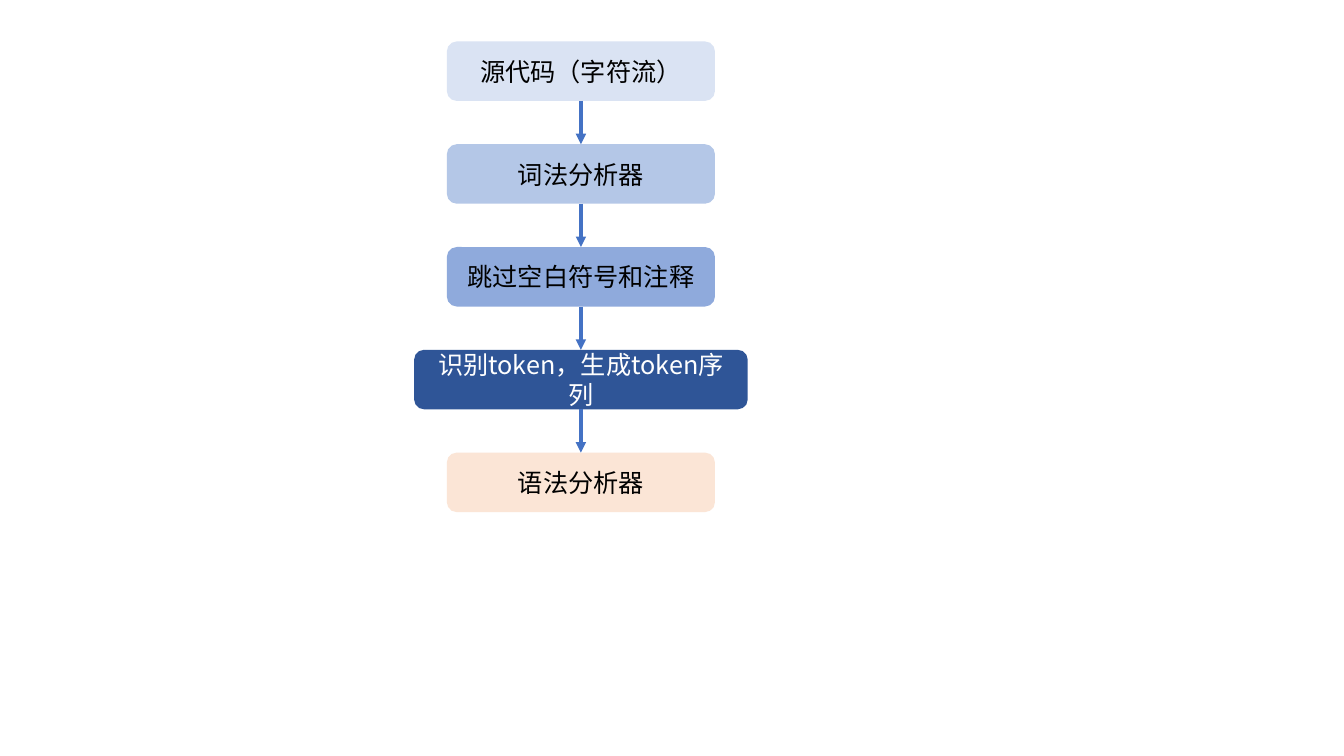
from dataclasses import dataclass

from lxml import etree
from pptx import Presentation
from pptx.dml.color import RGBColor
from pptx.enum import shapes, text
from pptx.oxml import ns
from pptx.util import Pt


@dataclass(frozen=True)
class Theme:
    font: str = "Noto Sans CJK SC"
    size: float = 18
    dark_text: str = "000000"
    light_text: str = "FFFFFF"
    arrow: str = "4472C4"
    arrow_width: float = 2.5


THEME = Theme()
NARROW, WIDE = 191.5, 238.3

# Stage label, fill, text colour, width
STAGES = [
    ("源代码（字符流）", "DAE3F3", THEME.dark_text, NARROW),
    ("词法分析器", "B4C7E7", THEME.dark_text, NARROW),
    ("跳过空白符号和注释", "8FAADC", THEME.dark_text, NARROW),
    ("识别token，生成token序列", "2F5597", THEME.light_text, WIDE),
    ("语法分析器", "FBE5D6", THEME.dark_text, NARROW),
]


def add_stage(page, left, top, width, height, label, fill, color):
    box = page.shapes.add_shape(
        shapes.MSO_SHAPE.ROUNDED_RECTANGLE, Pt(left), Pt(top), Pt(width), Pt(height))
    box.shadow.inherit = False
    box.fill.solid()
    box.fill.fore_color.rgb = RGBColor.from_string(fill)
    box.line.fill.background()
    frame = box.text_frame
    frame.word_wrap = True
    frame.vertical_anchor = text.MSO_ANCHOR.MIDDLE
    para = frame.paragraphs[0]
    para.alignment = text.PP_ALIGN.CENTER
    span = para.add_run()
    span.text = label
    span.font.size = Pt(THEME.size)
    span.font.name = THEME.font
    span.font.color.rgb = RGBColor.from_string(color)
    # East Asian typeface
    etree.SubElement(span.font._element, ns.qn("a:ea"), typeface=THEME.font)
    return box


def add_arrow(page, upper, lower):
    arrow = page.shapes.add_connector(shapes.MSO_CONNECTOR.STRAIGHT, 0, 0, 0, 0)
    # Bottom centre of one stage to top centre of the next
    arrow.begin_connect(upper, 2)
    arrow.end_connect(lower, 0)
    arrow.line.color.rgb = RGBColor.from_string(THEME.arrow)
    arrow.line.width = Pt(THEME.arrow_width)
    etree.SubElement(arrow.line._get_or_add_ln(), ns.qn("a:tailEnd"), type="triangle")
    etree.SubElement(arrow._element.spPr, ns.qn("a:effectLst"))


def add_lexer_flow(page, left, top, width, height):
    """Stack the stages evenly in the given box, centred and joined by arrows."""
    stage_height = 42.5
    pitch = (height - stage_height) / (len(STAGES) - 1)
    boxes = [
        add_stage(page, left + (width - stage_width) / 2, top + i * pitch,
                  stage_width, stage_height, label, fill, color)
        for i, (label, fill, color, stage_width) in enumerate(STAGES)
    ]
    for upper, lower in zip(boxes, boxes[1:]):
        add_arrow(page, upper, lower)


def main():
    deck = Presentation()
    deck.slide_width, deck.slide_height = Pt(960), Pt(540)
    page = deck.slides.add_slide(deck.slide_layouts[6])
    add_lexer_flow(page, left=295.8, top=29.6, width=WIDE, height=336.2)
    deck.save("out.pptx")


if __name__ == "__main__":
    main()
